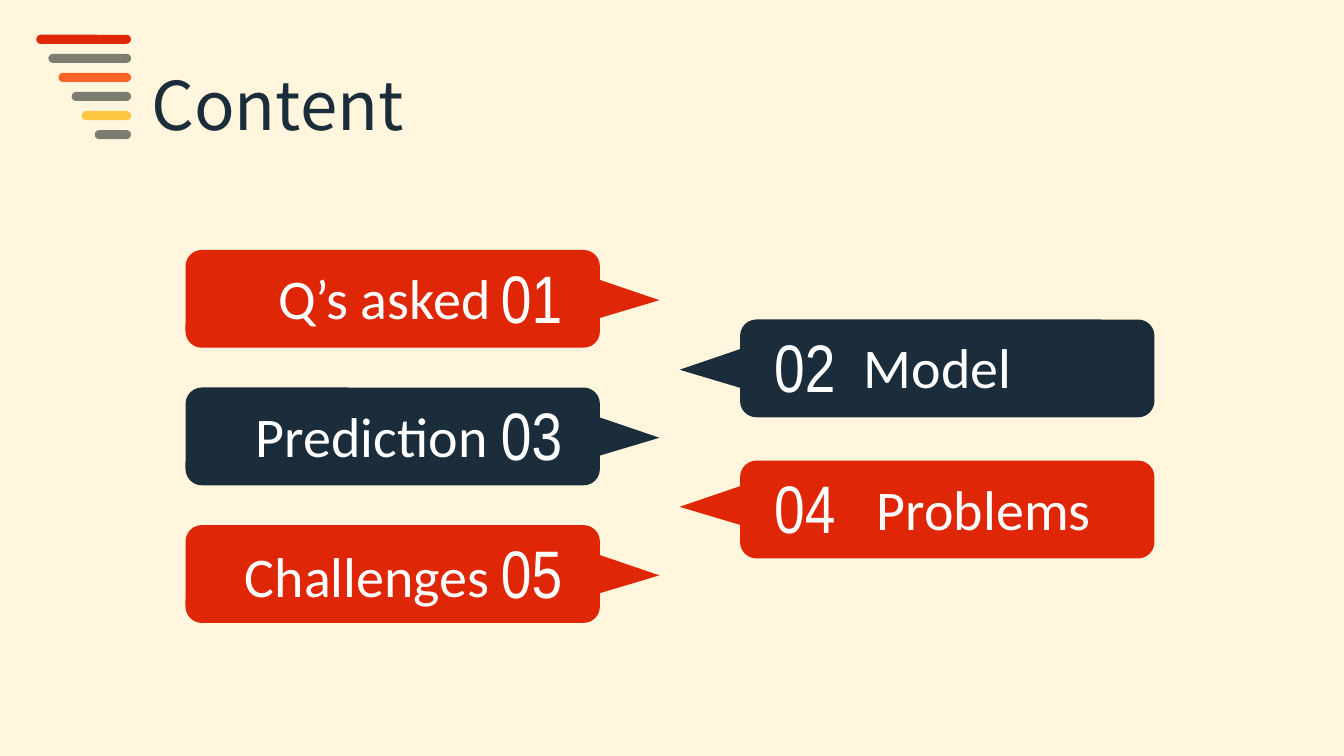
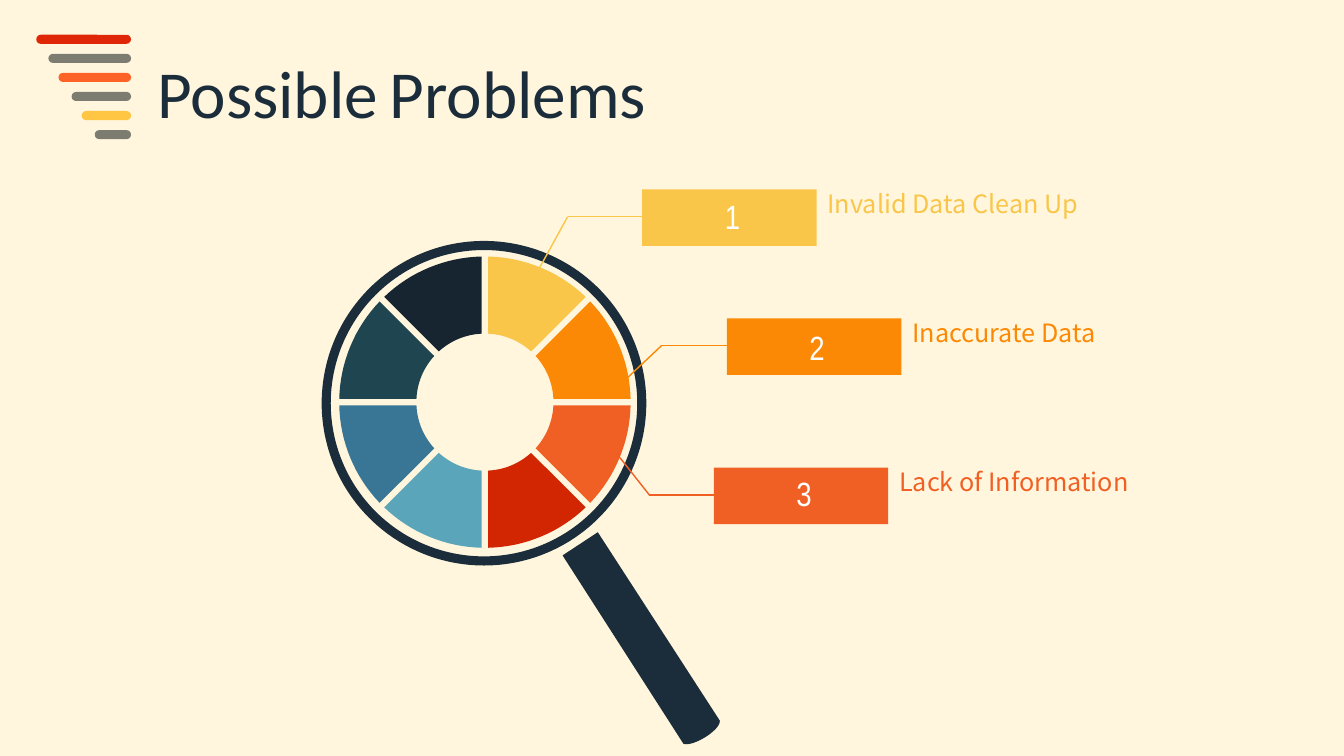
"""Build the content page and the possible-problems page."""
import math
from dataclasses import dataclass

import lxml.etree
import pptx
import pptx.dml.color
import pptx.enum.shapes
import pptx.enum.text
import pptx.util

SHAPES = pptx.enum.shapes.MSO_SHAPE
CELL = 0.1  # inches in one column or row of the grid
COLUMNS, ROWS = 133.3, 75

CREAM, WHITE, NAVY, RED = "FFF6DD", "FFFFFF", "1B2D3A", "DF2708"
GRAY, ORANGE, YELLOW = "7C7C70", "FD6326", "FEC642"
GOLD, AMBER, CORAL = "F9C649", "FB8905", "F06025"
SANS, NARROW, PLAIN = "Noto Sans CJK SC", "Arial Narrow", "Calibri"


@dataclass(frozen=True)
class Span:
    """A run of text with its format."""
    text: str
    size: float
    font: str
    colour: str


@dataclass(frozen=True)
class Box:
    """A rectangle in grid columns and rows."""
    column: float
    row: float
    width: float
    height: float


@dataclass(frozen=True)
class Banner:
    """A numbered entry of the contents, pointing to the middle."""
    number: str
    label: str
    colour: str
    row: float
    label_box: Box
    arrow_drop: float = 1.8


@dataclass(frozen=True)
class Problem:
    """A numbered tag tied to a slice of the wheel."""
    number: str
    label: str
    colour: str
    column: float
    row: float
    number_drop: float
    start: tuple[float, float]
    bend_column: float


BAR_STARTS = ((3.6, RED), (4.8, GRAY), (5.8, ORANGE),
              (7.1, GRAY), (8.1, YELLOW), (9.4, GRAY))
BAR_RIGHT, BAR_TOP, BAR_STEP, BAR_HEIGHT = 13, 3.45, 1.89, 0.9

LEFT_TOP, LEFT_STEP = 24.8, 13.65
RIGHT_TOP, RIGHT_STEP = 31.7, 14
LEFT_BANNERS = (
    Banner("01", "Q’s asked", RED, LEFT_TOP, Box(26.6, 25.7, 23.3, 7.7)),
    Banner("03", "Prediction", NAVY, LEFT_TOP + LEFT_STEP,
           Box(24.4, 39.3, 25.2, 7.7)),
    Banner("05", "Challenges", RED, LEFT_TOP + 2 * LEFT_STEP,
           Box(23.3, 53.2, 26.5, 7.7)),
)
RIGHT_BANNERS = (
    Banner("02", "Model", NAVY, RIGHT_TOP, Box(84.7, 32.5, 16.8, 7.7)),
    Banner("04", "Problems", RED, RIGHT_TOP + RIGHT_STEP,
           Box(86, 46.6, 23.4, 7.7), 1.4),
)
PROBLEMS = (
    Problem("1", "Invalid Data Clean Up", GOLD, 63.7, 18.8, 0.1,
            (51.8, 29.7), 56.3),
    Problem("2", "Inaccurate Data", AMBER, 72.1, 31.6, 0.3,
            (60.3, 39.3), 65.6),
    Problem("3", "Lack of Information", CORAL, 70.8, 46.4, 0,
            (60.3, 43.9), 64.4),
)

WHEEL_CENTRE = (48.1, 39.9)
OUTER_RADIUS, INNER_RADIUS, HALF_GAP = 14.45, 6.8, 0.32
SLICE_COLOURS = (GOLD, AMBER, CORAL, "D22602",
                 "5AA5B9", "397594", "1E4550", "172531")


def grid(cells: float) -> int:
    """Turn grid cells into a length."""
    return pptx.util.Inches(cells * CELL)


def rgb(colour: str):
    """Turn a hex string into a colour."""
    return pptx.dml.color.RGBColor.from_string(colour)


def paint(shape, colour: str) -> None:
    """Give a shape a flat fill with no line or shadow."""
    shape.shadow.inherit = False
    shape.fill.solid()
    shape.fill.fore_color.rgb = rgb(colour)
    shape.line.fill.background()


def add_block(page, kind, box: Box, colour: str, *,
              adjust: float | None = None, rotation: float = 0):
    """Add a filled preset shape."""
    shape = page.shapes.add_shape(kind, grid(box.column), grid(box.row),
                                  grid(box.width), grid(box.height))
    paint(shape, colour)
    shape.rotation = rotation
    if adjust is not None:
        shape.adjustments[0] = adjust
    return shape


def add_outline(page, points: list[tuple[float, float]], colour: str) -> None:
    """Add a filled closed outline."""
    corners = [(grid(x), grid(y)) for x, y in points]
    builder = page.shapes.build_freeform(*corners[0])
    builder.add_line_segments(corners[1:], close=True)
    paint(builder.convert_to_shape(), colour)


def add_line(page, start: tuple[float, float], end: tuple[float, float],
             colour: str) -> None:
    """Add a thin straight line without a shadow."""
    line = page.shapes.add_connector(
        pptx.enum.shapes.MSO_CONNECTOR.STRAIGHT,
        *(grid(cells) for cells in (*start, *end)))
    line.line.color.rgb = rgb(colour)
    line.line.width = pptx.util.Pt(1)
    properties = line._element.spPr
    namespace = properties.nsmap["a"]
    lxml.etree.SubElement(properties, f"{{{namespace}}}effectLst")


def write(shape, spans: tuple[Span, ...], *, wrap: bool = False) -> None:
    """Write one left-aligned paragraph from the top of a shape."""
    frame = shape.text_frame
    frame.word_wrap = wrap
    frame.auto_size = pptx.enum.text.MSO_AUTO_SIZE.SHAPE_TO_FIT_TEXT
    frame.vertical_anchor = pptx.enum.text.MSO_ANCHOR.TOP
    para = frame.paragraphs[0]
    para.alignment = pptx.enum.text.PP_ALIGN.LEFT
    for span in spans:
        run = para.add_run()
        run.text = span.text
        run.font.size = pptx.util.Pt(span.size)
        run.font.name = span.font
        run.font.color.rgb = rgb(span.colour)


def add_text(page, box: Box, text: str, *, size: float, font: str,
             colour: str = WHITE, wrap: bool = False) -> None:
    """Add a text box with a single format."""
    shape = page.shapes.add_textbox(grid(box.column), grid(box.row),
                                    grid(box.width), grid(box.height))
    write(shape, (Span(text, size, font, colour),), wrap=wrap)


def add_page(deck, box: Box, *spans: Span):
    """Add a page with its title and the stepped bars."""
    page = deck.slides.add_slide(deck.slide_layouts[5])
    title = page.shapes.title
    title.left, title.top = grid(box.column), grid(box.row)
    title.width, title.height = grid(box.width), grid(box.height)
    write(title, spans)
    for index, (start, colour) in enumerate(BAR_STARTS):
        bar = Box(start, BAR_TOP + index * BAR_STEP,
                  BAR_RIGHT - start, BAR_HEIGHT)
        add_block(page, SHAPES.ROUNDED_RECTANGLE, bar, colour, adjust=0.5)
    return page


def add_banner(page, banner: Banner, *, column: float, arrow_column: float,
               number_column: float, rotation: float, tip: float) -> None:
    """Draw a banner, its arrow, its number and its label."""
    add_block(page, SHAPES.ROUNDED_RECTANGLE,
              Box(column, banner.row, 41.1, 9.7), banner.colour)
    add_block(page, SHAPES.ISOSCELES_TRIANGLE,
              Box(arrow_column, banner.row + banner.arrow_drop, 3.9, 6.1),
              banner.colour, adjust=tip, rotation=rotation)
    add_text(page, Box(number_column, banner.row + 0.1, 11.1, 9.2),
             banner.number, size=48, font=NARROW, wrap=True)
    add_text(page, banner.label_box, banner.label, size=40, font=PLAIN)


def arc(radius: float, start: float, end: float) -> list[tuple[float, float]]:
    """Return points clockwise from the top, trimmed for the gaps."""
    trim = math.asin(HALF_GAP / radius)
    first, last, steps = start + trim, end - trim, 16
    angles = [first + (last - first) * i / steps for i in range(steps + 1)]
    return [(WHEEL_CENTRE[0] + radius * math.sin(angle),
             WHEEL_CENTRE[1] - radius * math.cos(angle)) for angle in angles]


def curve(a, b, c, d) -> list[tuple[float, float]]:
    """Return points along a cubic curve."""
    steps = 12
    points = []
    for t in (i / steps for i in range(steps + 1)):
        weights = ((1 - t) ** 3, 3 * t * (1 - t) ** 2,
                   3 * t ** 2 * (1 - t), t ** 3)
        points.append(tuple(sum(w * p[axis] for w, p in
                                zip(weights, (a, b, c, d)))
                            for axis in (0, 1)))
    return points


def add_magnifier(page) -> None:
    """Draw the rim, the wheel of slices and the handle."""
    add_block(page, SHAPES.DONUT, Box(31.9, 23.9, 32.2, 32.2), NAVY,
              adjust=0.028)
    turn = math.tau / len(SLICE_COLOURS)
    for index, colour in enumerate(SLICE_COLOURS):
        start, end = index * turn, (index + 1) * turn
        outer = arc(OUTER_RADIUS, start, end)
        inner = arc(INNER_RADIUS, start, end)
        add_outline(page, outer + inner[::-1], colour)
    handle_end = curve((71.4, 71.5), (71.5, 72.4), (68.8, 74.1), (67.8, 73.8))
    add_outline(page, [(55.8, 55.1), (59.3, 52.8), *handle_end], NAVY)


def add_problem(page, problem: Problem) -> None:
    """Draw a leader line, a numbered tag and its label."""
    column, row = problem.column, problem.row
    bend = (problem.bend_column, row + 2.7)
    add_line(page, problem.start, bend, problem.colour)
    add_line(page, bend, (column, bend[1]), problem.colour)
    add_block(page, SHAPES.RECTANGLE, Box(column, row, 17.3, 5.6),
              problem.colour)
    add_text(page, Box(column + 7.2, row + problem.number_drop, 3.6, 5),
             problem.number, size=24, font=NARROW)
    add_text(page, Box(column + 17.4, row - 0.6, 34.8, 4), problem.label,
             size=18, font=SANS, colour=problem.colour, wrap=True)


def main() -> None:
    """Build and save the deck."""
    deck = pptx.Presentation()
    deck.slide_width, deck.slide_height = grid(COLUMNS), grid(ROWS)
    background = deck.slide_master.background.fill
    background.solid()
    background.fore_color.rgb = rgb(CREAM)

    contents = add_page(deck, Box(14, 5.8, 27.9, 9.1),
                        Span("Content", 48, SANS, NAVY))
    for banner in LEFT_BANNERS:
        add_banner(contents, banner, column=18.4, arrow_column=60.4,
                   number_column=48.7, rotation=90, tip=0.533)
    for banner in RIGHT_BANNERS:
        add_banner(contents, banner, column=73.4, arrow_column=68.5,
                   number_column=75.8, rotation=270, tip=0.467)

    problems = add_page(deck, Box(14.6, 4.6, 51, 9.1),
                        Span("Possible", 48, PLAIN, NAVY),
                        Span(" ", 36, PLAIN, RED),
                        Span("Problems", 48, PLAIN, NAVY))
    add_magnifier(problems)
    for problem in PROBLEMS:
        add_problem(problems, problem)
    deck.save("out.pptx")


main()
